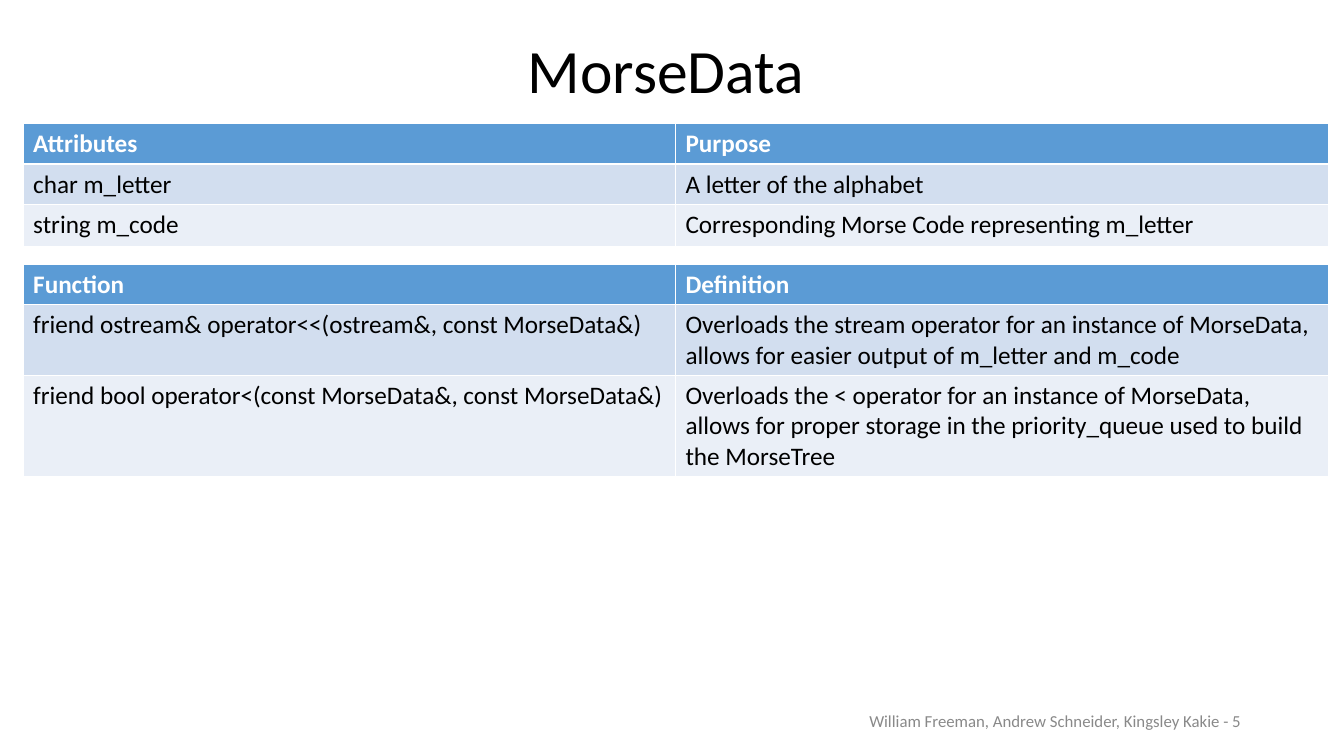
import pptx
import pptx.dml.color
import pptx.enum.text
import pptx.oxml
import pptx.oxml.ns
import pptx.util

Inches, Pt = pptx.util.Inches, pptx.util.Pt
ALIGN = pptx.enum.text.PP_ALIGN
HEADER_FILL = "5B9BD5"
BAND_FILLS = ("D2DEEF", "EAEFF7")
THIN, THICK = 0.45, 1.47


def color(value):
    return pptx.dml.color.RGBColor.from_string(value)


def write(tf, text, size, font_color, bold=False, **paragraph_format):
    tf.word_wrap = True
    p = tf.paragraphs[0]
    for name, value in paragraph_format.items():
        setattr(p, name, value)
    r = p.add_run()
    r.text = text
    font = {"name": "Calibri", "size": Pt(size), "bold": bold}
    for name, value in font.items():
        setattr(r.font, name, value)
    r.font.color.rgb = color(font_color)


def add_text(slide, box, text, size, font_color, **paragraph_format):
    sp = slide.shapes.add_textbox(*map(Inches, box))
    sp.text_frame.vertical_anchor = pptx.enum.text.MSO_ANCHOR.MIDDLE
    write(sp.text_frame, text, size, font_color, **paragraph_format)


def set_borders(cell, top, bottom):
    """Draw white borders; they must come before the fill in the cell's XML."""
    widths = {"lnL": THIN, "lnR": THIN, "lnT": top, "lnB": bottom}
    tc_pr = cell._tc.get_or_add_tcPr()
    for i, (side, width) in enumerate(widths.items()):
        tc_pr.insert(i, pptx.oxml.parse_xml(
            f'<a:{side} {pptx.oxml.ns.nsdecls("a")} w="{Pt(width)}"><a:solidFill>'
            f'<a:srgbClr val="FFFFFF"/></a:solidFill></a:{side}>'))


def add_table(slide, top, heights, rows):
    frame = slide.shapes.add_table(
        len(rows), 2, Inches(0.23), Inches(top), Inches(12.95), Inches(sum(heights)))
    table = frame.table
    for i, (height, texts) in enumerate(zip(heights, rows)):
        table.rows[i].height = Inches(height)
        header = i == 0
        for cell, text in zip(table.rows[i].cells, texts):
            cell.fill.solid()
            cell.fill.fore_color.rgb = color(HEADER_FILL if header else BAND_FILLS[(i - 1) % 2])
            set_borders(cell, THICK if i == 1 else THIN, THICK if header else THIN)
            write(cell.text_frame, text, 18, "FFFFFF" if header else "000000", header)


def main():
    prs = pptx.Presentation()
    prs.slide_width, prs.slide_height = Inches(13.34), Inches(7.5)
    slide = prs.slides.add_slide(prs.slide_layouts[6])

    add_text(slide, (0.86, 0, 11.5, 1.45), "MorseData", 44, "000000",
             alignment=ALIGN.CENTER, line_spacing=0.9)
    add_table(slide, 1.22, (0.41, 0.4, 0.41), (
        ("Attributes", "Purpose"),
        ("char m_letter", "A letter of the alphabet"),
        ("string m_code", "Corresponding Morse Code representing m_letter"),
    ))
    add_table(slide, 2.62, (0.4, 0.7, 1), (
        ("Function", "Definition"),
        ("friend ostream& operator<<(ostream&, const MorseData&)",
         "Overloads the stream operator for an instance of MorseData, "
         "allows for easier output of m_letter and m_code"),
        ("friend bool operator<(const MorseData&, const MorseData&)",
         "Overloads the < operator for an instance of MorseData, allows for proper "
         "storage in the priority_queue used to build the MorseTree"),
    ))
    add_text(slide, (8.47, 6.95, 3.95, 0.4),
             "William Freeman, Andrew Schneider, Kingsley Kakie - 5", 12, "898989",
             alignment=ALIGN.RIGHT)
    prs.save("out.pptx")


if __name__ == "__main__":
    main()
